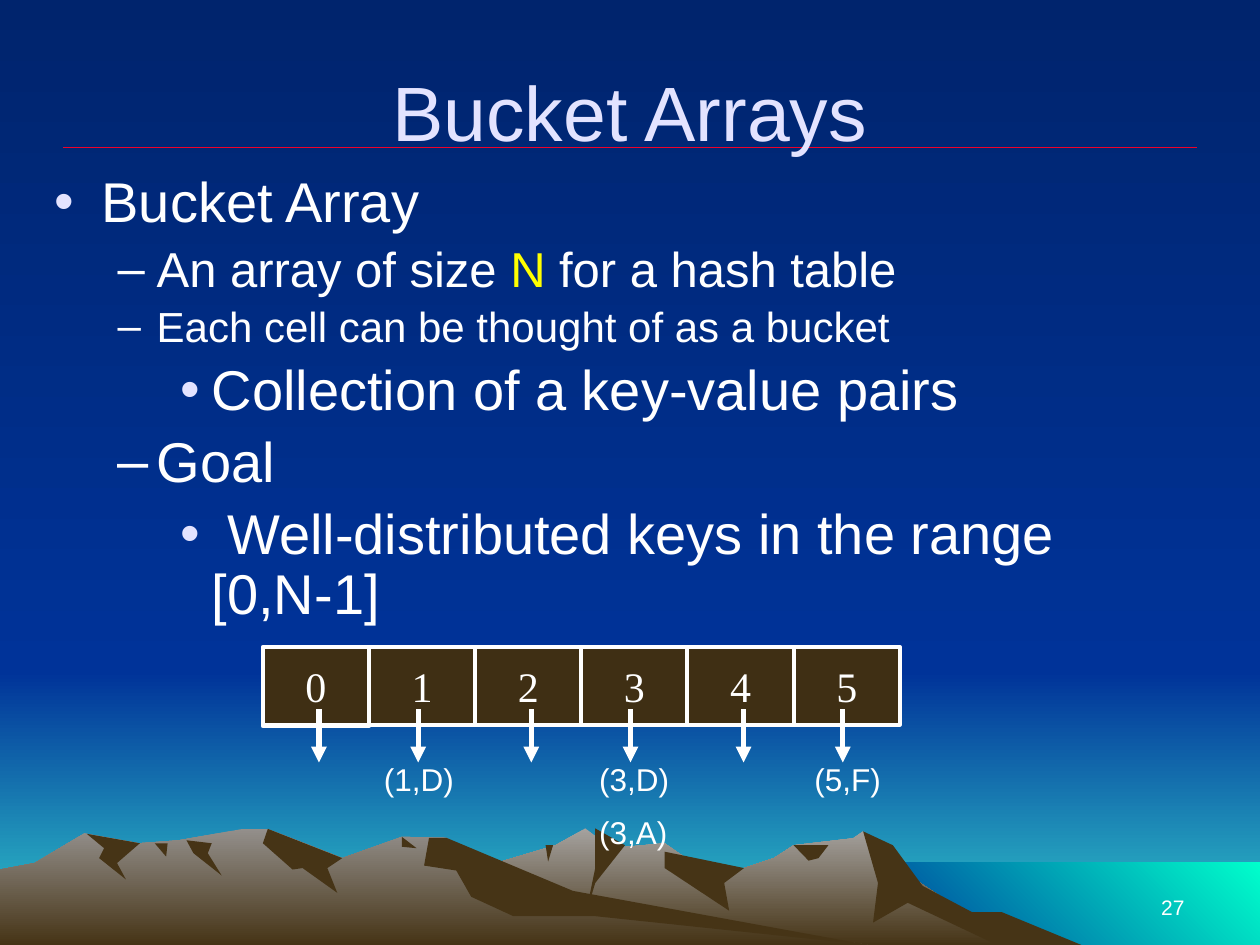
from lxml import etree
from pptx import Presentation
from pptx.dml.color import RGBColor
from pptx.enum.shapes import MSO_CONNECTOR, MSO_SHAPE
from pptx.enum.text import MSO_ANCHOR, PP_ALIGN
from pptx.oxml.ns import qn
from pptx.util import Cm, Pt

STRAIGHT, RECT = MSO_CONNECTOR.STRAIGHT, MSO_SHAPE.RECTANGLE
TOP, MIDDLE, BOTTOM = MSO_ANCHOR.TOP, MSO_ANCHOR.MIDDLE, MSO_ANCHOR.BOTTOM
LEFT, CENTER, RIGHT = PP_ALIGN.LEFT, PP_ALIGN.CENTER, PP_ALIGN.RIGHT

WHITE, LAVENDER, YELLOW, RED = "FFFFFF", "E3E3FF", "FFFF00", "EF0129"
NIGHT, BLUE, TEAL, MINT = "00246D", "003399", "33CCCC", "00FFCC"
EARTH, CELL = "463416", "3F2F14"

WIDTH, HEIGHT, SKYLINE = 25.4, 19.05, 13.54
CELLS, CELL_W, CELL_H = 6, 2.14, 1.57
ROW_X, ROW_Y = 5.3, 13.04
ARROW_X, ARROW_TOP, ARROW_END = 6.43, 14.3, 15.37
LABEL_X, LABEL_Y, LABEL_STEP = 7.49, 15.19, 4.34
BUCKETS = [["(1,D)"], ["(3,D)", "(3,A)"], ["(5,F)"]]  # of cells 1, 3 and 5

# Each mountain: crest from left to right in cm, its light colour, and the
# shaded slopes that hang from it. The foot is added by rule.
MOUNTAINS = {
    "right": {
        "light": "A5A29F",
        "crest": [(6.55, 19.05), (8.3, 18), (10, 17.4), (11.2, 17.04),
                  (11.8, 16.7), (12.3, 17.1), (13.4, 17), (14.4, 17.7),
                  (15.6, 17.3), (16, 17.04), (17.2, 16.9), (17.4, 16.76),
                  (18.4, 17.7), (19.4, 18.36), (20.85, 19.05)],
        "slopes": {
            "east face": [(17.4, 16.76), (18, 17.04), (18.6, 17.86),
                          (19.6, 18.39), (20.2, 18.39), (21.8, 19.05),
                          (20.1, 19.05), (18.3, 18.2), (17.6, 18.6), (17.7, 17.8)],
            "middle gully": [(12, 16.7), (12.6, 17.04), (12, 17.8),
                             (11.8, 18.47), (12, 17.5)],
            "middle shoulder": [(13.4, 17.17), (15, 17.5), (14.6, 17.8),
                                (14.7, 18.36), (13.4, 17.5)],
            "notch": [(16, 17.04), (16.7, 17.04), (16.5, 17.3), (16.3, 17.35)],
            "west notch": [(11, 17.04), (11.15, 17.04), (11.05, 17.37)]}},
    "left": {
        "light": "938F8B",
        "crest": [(0, 17.53), (0.7, 17.4), (1.7, 16.8), (2.8, 17),
                  (3.6, 16.94), (4.9, 16.71), (5.4, 16.71), (6.9, 17.3),
                  (8.1, 16.87), (9, 16.89), (11, 18.1), (17.5, 19.05)],
        "slopes": {
            "high peak": [(5.4, 16.71), (6.9, 17.3), (6.6, 17.5), (6.8, 18),
                          (6.1, 17.5), (5.9, 17.53), (5.3, 17)],
            "long east face": [(8.65, 16.89), (9, 16.89), (11.55, 17.96),
                               (17.5, 19.05), (12, 18.47), (10.35, 18.47),
                               (9.5, 18.08), (9.2, 17.55), (8.55, 17.45)],
            "east notch": [(8.1, 16.87), (8.4, 17.1), (8.1, 17.07)],
            "centre gully": [(3.76, 16.94), (4.27, 17), (4.19, 17.2),
                             (4.47, 17.65), (3.9, 17.2)],
            "centre notch": [(3.12, 17), (3.38, 17), (3.35, 17.27)],
            "west peak": [(1.75, 16.81), (2.82, 17), (2.36, 17.4),
                          (2.54, 17.73), (2, 17.3), (2.1, 17.1)]}}}

# indent and hanging width in cm, bullet, bullet colour
LEVELS = [(0.96, 0.96, "•", LAVENDER), (2.07, 0.79, "–", WHITE),
          (3.18, 0.64, "•", LAVENDER)]
BODY = [(0, 32, "Bucket Array"),
        (1, 28, "An array of size |N| for a hash table"),
        (1, 24, "Each cell can be thought of as a bucket"),
        (2, 32, "Collection of a key-value pairs"),
        (1, 32, "Goal"),
        (2, 32, " Well-distributed keys in the range [0,N-1]")]


def rgb(color):
    return RGBColor.from_string(color)


def add_xml(parent, tag, **attrs):
    return etree.SubElement(parent, qn(tag), attrs)


def paint(fill, *colors, angle=270):
    """Plain fill for one colour, gradient (counter-clockwise angle) for two."""
    if len(colors) == 1:
        fill.solid()
        fill.fore_color.rgb = rgb(colors[0])
        return
    fill.gradient()
    fill.gradient_angle = angle
    for stop, color in zip(fill.gradient_stops, colors):
        stop.color.rgb = rgb(color)


class Deck:
    def __init__(self, slide, font="Arial"):
        self.s, self.font = slide, font

    def style(self, r, size, color=WHITE, font=None):
        r.font.size, r.font.name = Pt(size), font or self.font
        r.font.color.rgb = rgb(color)

    def scenery(self, sp, *colors, angle=270):
        sp.shadow.inherit = False
        sp.line.fill.background()
        paint(sp.fill, *colors, angle=angle)

    def band(self, x, top, bottom, *colors, angle=270):
        """Gradient band that reaches the right edge of the slide."""
        box = (x, top, WIDTH - x, bottom - top)
        sp = self.s.shapes.add_shape(RECT, *map(Cm, box))
        self.scenery(sp, *colors, angle=angle)

    def outline(self, points, *colors):
        first, *rest = [(Cm(x), Cm(y)) for x, y in points]
        builder = self.s.shapes.build_freeform(*first)
        builder.add_line_segments(rest, close=True)
        self.scenery(builder.convert_to_shape(), *colors)

    def mountain(self, crest, light, slopes):
        foot = [(crest[-1][0], HEIGHT), (crest[0][0], HEIGHT)]
        self.outline(crest + foot, light, EARTH)
        for slope in slopes.values():
            self.outline(slope, EARTH)

    def line(self, x1, y1, x2, y2, color, width, arrow=False):
        sp = self.s.shapes.add_connector(STRAIGHT, Cm(x1), Cm(y1), Cm(x2), Cm(y2))
        sp._element.remove(sp._element.find(qn("p:style")))
        sp.line.color.rgb, sp.line.width = rgb(color), Pt(width)
        if arrow:
            add_xml(sp.line._get_or_add_ln(), "a:tailEnd", type="triangle")
        add_xml(sp._element.spPr, "a:effectLst")

    def frame(self, box, anchor=TOP):
        tf = self.s.shapes.add_textbox(*map(Cm, box)).text_frame
        tf.word_wrap, tf.vertical_anchor = True, anchor
        return tf

    def text(self, box, lines, size, color=WHITE, align=LEFT, anchor=TOP, before=0):
        tf = self.frame(box, anchor)
        tf.text = "\n".join(lines)
        for p in tf.paragraphs:
            p.alignment, p.space_before = align, Pt(before)
            self.style(p.runs[0], size, color)

    def bullets(self, box, items):
        """Bulleted list; text between bars is highlighted."""
        tf = self.frame(box)
        for i, (level, size, text) in enumerate(items):
            p = tf.add_paragraph() if i else tf.paragraphs[0]
            p.level, p.line_spacing = level, 0.9
            indent, hanging, char, color = LEVELS[level]
            pPr = p._p.get_or_add_pPr()
            pPr.set("marL", str(Cm(indent)))
            pPr.set("indent", str(-Cm(hanging)))
            add_xml(add_xml(pPr, "a:spcBef"), "a:spcPct", val="20000")
            add_xml(add_xml(pPr, "a:buClr"), "a:srgbClr", val=color)
            add_xml(pPr, "a:buFont", typeface=self.font)
            add_xml(pPr, "a:buChar", char=char)
            for j, part in enumerate(text.split("|")):
                r = p.add_run()
                r.text = part
                self.style(r, size, YELLOW if j % 2 else WHITE)

    def cell(self, x, y, text=""):
        box = (x, y, CELL_W, CELL_H)
        sp = self.s.shapes.add_shape(RECT, *map(Cm, box))
        sp.shadow.inherit = False
        paint(sp.fill, CELL)
        sp.line.color.rgb, sp.line.width = rgb(WHITE), Pt(2.25)
        tf = sp.text_frame
        tf.word_wrap, tf.vertical_anchor = False, MIDDLE
        tf.text = text
        p = tf.paragraphs[0]
        p.alignment = CENTER
        for r in p.runs:
            self.style(r, 24, font="Times New Roman")


def draw_landscape(deck):
    deck.band(0, SKYLINE, HEIGHT, BLUE, TEAL)
    deck.band(0, 0, SKYLINE, NIGHT, BLUE)
    deck.band(17.35, 17.38, HEIGHT, BLUE, MINT, angle=45)
    for parts in MOUNTAINS.values():
        deck.mountain(**parts)


def draw_bucket_array(deck):
    deck.cell(ROW_X, ROW_Y + 0.03)
    for i in range(CELLS):
        deck.cell(ROW_X + CELL_W * i, ROW_Y, str(i))
    for i in range(CELLS):
        pair, odd = divmod(i, 2)
        x = ARROW_X + 2 * CELL_W * pair + 2 * odd
        deck.line(x, ARROW_TOP, x, ARROW_END, WHITE, 3, arrow=True)
    for i, entries in enumerate(BUCKETS):
        box = (LABEL_X + LABEL_STEP * i, LABEL_Y, 2.57, 1.08 * len(entries))
        deck.text(box, entries, 18, before=9)


def main():
    prs = Presentation()
    prs.slide_width, prs.slide_height = Cm(WIDTH), Cm(HEIGHT)
    s = prs.slides.add_slide(prs.slide_layouts[6])
    paint(s.background.fill, NIGHT, BLUE)
    deck = Deck(s)

    draw_landscape(deck)
    deck.line(1.27, 2.97, 24.13, 2.97, RED, 0.75)
    deck.text((18.21, 17.35, 5.92, 1.32), ["27"], 12, align=RIGHT, anchor=BOTTOM)
    deck.text((1.27, 0.64, 22.86, 3.18), ["Bucket Arrays"], 44, LAVENDER, CENTER, MIDDLE)
    deck.bullets((0.84, 3.39, 23.5, 8.89), BODY)
    draw_bucket_array(deck)
    prs.save("out.pptx")


if __name__ == "__main__":
    main()
